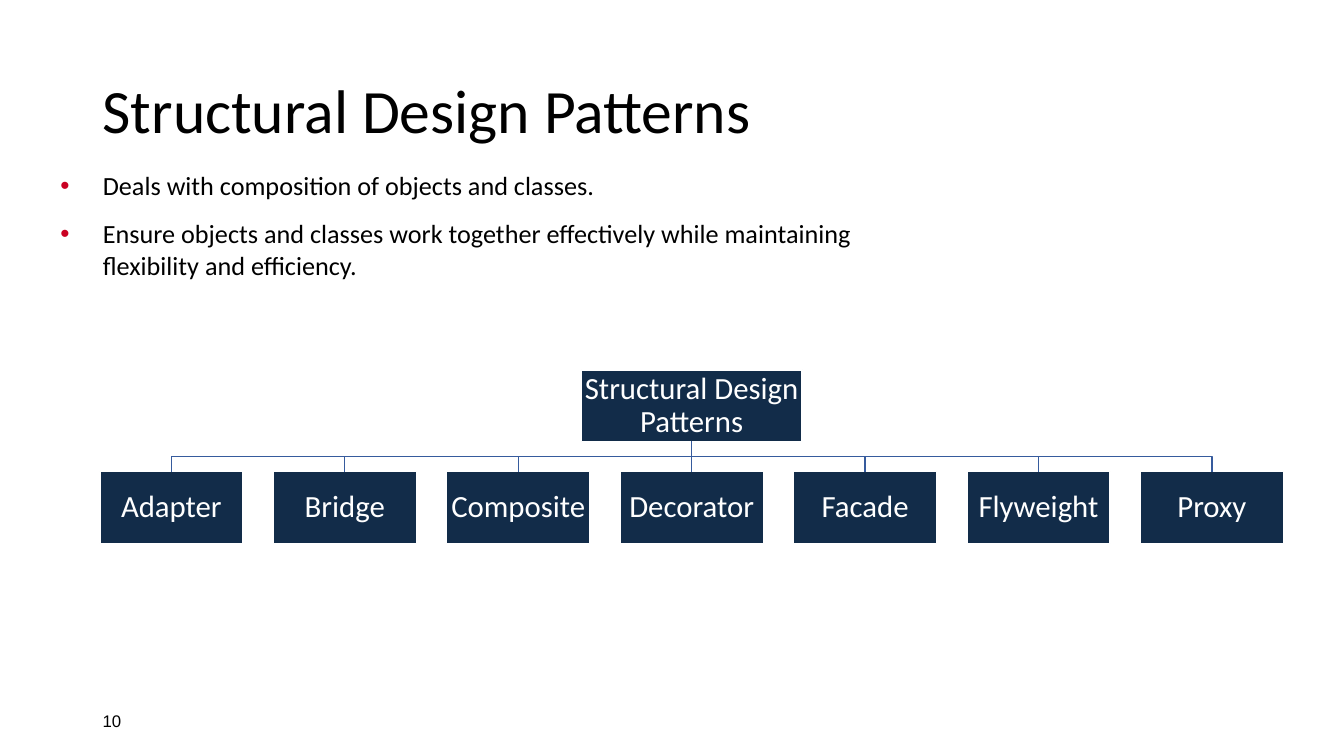
from lxml import etree
from pptx import Presentation, util as u
from pptx.dml.color import RGBColor
from pptx.enum import shapes, text
from pptx.oxml.ns import qn

BLACK = RGBColor(0, 0, 0)
WHITE = RGBColor(255, 255, 255)
NAVY = RGBColor(0x12, 0x2C, 0x49)
BLUE = RGBColor(0x36, 0x5B, 0x9D)
RED = "CA0123"

LEFT, STEP = u.Inches(0.99), u.Inches(1.72)
WIDE, HIGH = u.Inches(1.42), u.Inches(0.71)
TOP, GAP = u.Inches(3.67), u.Inches(0.3)
NAMES = ["Adapter", "Bridge", "Composite", "Decorator",
         "Facade", "Flyweight", "Proxy"]
POINTS = [
    "Deals with composition of objects and classes.",
    "Ensure objects and classes work together effectively "
    "while maintaining flexibility and efficiency.",
]


def write(shape, *lines, size, font="Calibri", color=BLACK, pad=None,
          wrap=True, anchor=text.MSO_ANCHOR.MIDDLE, align=text.PP_ALIGN.LEFT,
          space=None, before=None):
    """Fill a shape with formatted paragraphs and return them."""
    frame = shape.text_frame
    frame.word_wrap, frame.vertical_anchor = wrap, anchor
    if pad is not None:
        frame.margin_left = frame.margin_right = u.Inches(pad)
        frame.margin_top = frame.margin_bottom = u.Inches(pad)
    frame.text = "\n".join(lines)
    for para in frame.paragraphs:
        para.alignment, para.line_spacing = align, space
        para.space_before = before
        style = para.runs[0].font
        style.size, style.name = u.Pt(size), font
        style.color.rgb = color
    return frame.paragraphs


def area(slide, *box):
    """Add a text box placed in inches."""
    return slide.shapes.add_textbox(*map(u.Inches, box))


def bullet(para):
    """Give a paragraph a red hanging bullet."""
    props = para._p.get_or_add_pPr()
    props.set("marL", str(u.Inches(0.42)))
    props.set("indent", str(-u.Inches(0.42)))
    tint = etree.SubElement(props, qn("a:buClr"))
    etree.SubElement(tint, qn("a:srgbClr"), val=RED)
    etree.SubElement(props, qn("a:buFont"), typeface="Arial")
    etree.SubElement(props, qn("a:buChar"), char="•")


def node(slide, name, mid, top, wide):
    """Add a navy box centred on a column."""
    box = slide.shapes.add_shape(
        shapes.MSO_SHAPE.RECTANGLE, mid - wide // 2, top, wide, HIGH)
    box.shadow.inherit = False
    box.fill.solid()
    box.fill.fore_color.rgb = NAVY
    box.line.color.rgb, box.line.width = WHITE, u.Pt(1)
    write(box, name, size=22, color=WHITE, pad=0.02, space=0.9,
          align=text.PP_ALIGN.CENTER)
    return box


def link(slide, root, leaf):
    """Join the root to a leaf, with a bend where columns differ."""
    start, end = (box.left + box.width // 2 for box in (root, leaf))
    low = root.top + root.height
    if start == end:
        line = slide.shapes.add_connector(
            shapes.MSO_CONNECTOR.STRAIGHT, start, low, end, leaf.top)
        line.begin_connect(root, 2)
        line.end_connect(leaf, 0)
        etree.SubElement(line._element.spPr, qn("a:effectLst"))
    else:
        bend = (low + leaf.top) // 2
        path = slide.shapes.build_freeform(start, low)
        path.add_line_segments(
            [(start, bend), (end, bend), (end, leaf.top)], close=False)
        line = path.convert_to_shape()
        line.fill.background()
        line.shadow.inherit = False
    line.line.color.rgb, line.line.width = BLUE, u.Pt(1)


def main():
    """Build the slide and save it."""
    deck = Presentation()
    deck.slide_width, deck.slide_height = u.Inches(13.33), u.Inches(7.5)
    slide = deck.slides.add_slide(deck.slide_layouts[6])

    write(area(slide, 0.92, 0.4, 11.5, 1.45), "Structural Design Patterns",
          size=44, space=0.9)
    write(area(slide, 0.92, 6.95, 3, 0.4), "10", size=12, font="Arial")
    for para in write(area(slide, 0.6, 1.68, 8.18, 1.33), *POINTS, size=18.7,
                      pad=0, wrap=False, anchor=text.MSO_ANCHOR.TOP,
                      before=u.Pt(12)):
        bullet(para)

    mids = [LEFT + WIDE // 2 + i * STEP for i in range(len(NAMES))]
    root = node(slide, "Structural Design Patterns", mids[len(mids) // 2],
                TOP, u.Inches(2.19))
    for name, mid in zip(NAMES, mids):
        leaf = node(slide, name, mid, TOP + HIGH + GAP, WIDE)
        link(slide, root, leaf)

    deck.save("out.pptx")


if __name__ == "__main__":
    main()
